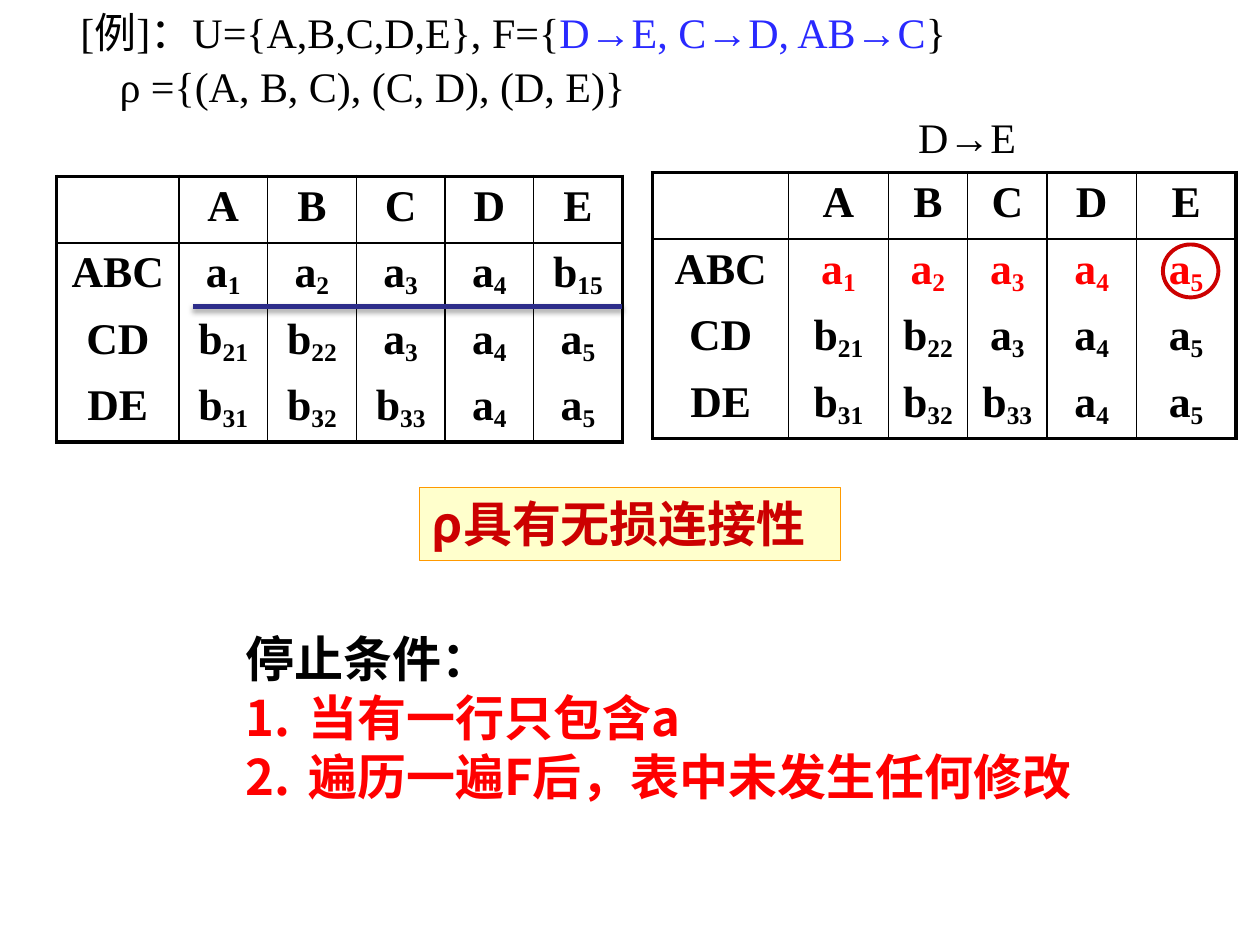
from lxml.etree import SubElement
from pptx import Presentation
from pptx.dml.color import RGBColor
from pptx.enum.shapes import MSO_CONNECTOR, MSO_SHAPE
from pptx.enum.text import MSO_ANCHOR, PP_ALIGN
from pptx.oxml.ns import qn
from pptx.util import Inches, Pt

COLORS = {
    "ink": "000000", "paper": "FFFFFF", "blue": "2929FF", "red": "FF0000",
    "crimson": "CC0000", "cream": "FFFFCC", "orange": "FF9900", "navy": "2D2D8A",
}
SERIF, SANS, SANS_ALT = "Times New Roman", "Noto Sans CJK SC", "Noto Sans CJK JP"
HEADER = "A B C D E"
LOWER_ROWS = ["CD b21 b22 a3 a4 a5", "DE b31 b32 b33 a4 a5"]
OUTER, INNER = 2.25, 1


def grid(*counts):
    """Turn counts of a 100 by 75 grid into lengths."""
    return [Inches(count / 10) for count in counts]


def color(name):
    """Look up a named colour."""
    return RGBColor.from_string(COLORS[name])


def write(para, text, size=24, font=SERIF, ink="ink", bold=False, base=0):
    """Add one formatted span to a paragraph."""
    span = para.add_run()
    span.text = text
    span.font.size = Pt(size)
    span.font.name = font
    span.font.bold = bold
    span.font.color.rgb = color(ink)
    properties = span.font._element
    SubElement(properties, qn("a:ea"), typeface=SANS if font == SERIF else font)
    if base:
        properties.set("baseline", str(base * 1000))


def indent(para, margin, hang):
    """Give a paragraph a hanging indent in inches."""
    properties = para._p.get_or_add_pPr()
    properties.set("marL", str(Inches(margin)))
    properties.set("indent", str(-Inches(hang)))
    return properties


def add_panel(page, place, shape=MSO_SHAPE.RECTANGLE, fill=None, line=None, width=0.75):
    """Add a flat shape whose text starts at the top left."""
    panel = page.shapes.add_shape(shape, *grid(*place))
    panel.shadow.inherit = False
    if fill:
        panel.fill.solid()
        panel.fill.fore_color.rgb = color(fill)
    else:
        panel.fill.background()
    if line:
        panel.line.color.rgb = color(line)
        panel.line.width = Pt(width)
    else:
        panel.line.fill.background()
    frame = panel.text_frame
    frame.word_wrap = True
    frame.vertical_anchor = MSO_ANCHOR.TOP
    frame.paragraphs[0].alignment = PP_ALIGN.LEFT
    return frame


def add_formula(para, spans, spacing, align=PP_ALIGN.LEFT):
    """Fill an indented paragraph with (text, colour) spans."""
    para.alignment = align
    para.line_spacing = spacing
    para.space_before = Pt(5)
    indent(para, 0.81, 0.31)
    for text, ink in spans:
        write(para, text, ink=ink)


def set_borders(cell, **widths):
    """Draw the sides of a cell, leaving out those of zero width."""
    properties = cell._tc.get_or_add_tcPr()
    for side in "LRTB":
        width = widths[side]
        edge = SubElement(properties, qn(f"a:ln{side}"), w=str(Pt(width)))
        if width:
            solid = SubElement(edge, qn("a:solidFill"))
            SubElement(solid, qn("a:srgbClr"), val=COLORS["ink"])
        else:
            SubElement(edge, qn("a:noFill"))


def fill_cell(cell, label, ink):
    """Write a label, with its digits lowered, on a white cell."""
    cell.fill.solid()
    cell.fill.fore_color.rgb = color("paper")
    para = cell.text_frame.paragraphs[0]
    para.alignment = PP_ALIGN.CENTER
    para.space_before = Pt(5)
    letters = label.rstrip("0123456789")
    if letters:
        write(para, letters, size=25, ink=ink, bold=True)
    if label != letters:
        write(para, label[len(letters):], size=25, ink=ink, bold=True, base=-16)


def add_tableau(page, left, top, columns, first_row, ink="ink"):
    """Add a chase table with a header and three rows."""
    rows = [["", *HEADER.split()]] + [row.split() for row in [first_row, *LOWER_ROWS]]
    place = grid(left, top, sum(columns), 21.1)
    table = page.shapes.add_table(len(rows), len(columns), *place).table
    table.first_row = table.horz_banding = False
    for column, width in zip(table.columns, grid(*columns)):
        column.width = width
    last_row, last_column = len(rows) - 1, len(columns) - 1
    for r, labels in enumerate(rows):
        table.rows[r].height = Inches(2.11 / len(rows))
        for c, label in enumerate(labels):
            cell = table.cell(r, c)
            set_borders(
                cell,
                L=INNER if c else OUTER,
                R=OUTER if c == last_column else INNER,
                T={0: OUTER, 1: INNER}.get(r, 0),
                B={0: INNER, last_row: OUTER}.get(r, 0),
            )
            fill_cell(cell, label, ink if r == 1 and c else "ink")


def add_underline(page, left, right, height):
    """Add a thick line with a soft shadow."""
    line = page.shapes.add_connector(
        MSO_CONNECTOR.STRAIGHT, *grid(left, height, right, height))
    line.line.color.rgb = color("navy")
    line.line.width = Pt(3)
    effects = SubElement(line._element.spPr, qn("a:effectLst"))
    shadow = SubElement(effects, qn("a:outerShdw"), blurRad=str(Pt(3.1)),
                        dist=str(Pt(1.8)), dir="5400000", rotWithShape="0")
    tint = SubElement(shadow, qn("a:srgbClr"), val=COLORS["ink"])
    SubElement(tint, qn("a:alpha"), val="35000")


def add_conditions(page, place, heading, items):
    """Add a heading followed by a numbered list."""
    frame = page.shapes.add_textbox(*grid(*place)).text_frame
    frame.word_wrap = True
    write(frame.paragraphs[0], heading, size=28, font=SANS_ALT, bold=True)
    for item in items:
        para = frame.add_paragraph()
        properties = indent(para, 0.5, 0.5)
        SubElement(properties, qn("a:buFont"), typeface="+mj-lt")
        SubElement(properties, qn("a:buAutoNum"), type="arabicPeriod")
        write(para, item, size=28, font=SANS_ALT, ink="red", bold=True)


def main():
    """Build the lossless join example."""
    deck = Presentation()
    deck.slide_width, deck.slide_height = grid(100, 75)
    page = deck.slides.add_slide(deck.slide_layouts[6])

    add_tableau(page, 51.8, 13.7, [10.8, 7.9, 6.3, 6.3, 7.1, 7.9],
                "ABC a1 a2 a3 a4 a5", ink="red")
    problem = add_panel(page, (0.4, 0.5, 94.2, 11.8), fill="paper")
    add_formula(problem.paragraphs[0], [
        ("[例]：U={A,B,C,D,E}, F={", "ink"), ("D→E, C→D, AB→C", "blue"), ("}", "ink"),
    ], 0.9)
    add_formula(problem.add_paragraph(),
                [("\tρ ={(A, B, C), (C, D), (D, E)}", "ink")], 0.9)
    step = add_panel(page, (55.5, 7.6, 37.5, 4.3), fill="paper")
    add_formula(step.paragraphs[0], [("D→E", "ink")], 1.2, PP_ALIGN.CENTER)
    add_panel(page, (92.3, 19.4, 4.4, 4.2), MSO_SHAPE.OVAL, line="crimson", width=2.25)

    add_tableau(page, 4.5, 14, [9.7] + [7.04] * 5, "ABC a1 a2 a3 a4 b15")
    add_underline(page, 15.3, 49.4, 24.3)

    result = add_panel(page, (33.3, 38.7, 33.4, 5.8), fill="cream", line="orange")
    write(result.paragraphs[0], "ρ具有无损连接性", size=28, font=SANS,
          ink="crimson", bold=True)
    add_conditions(page, (18.5, 49.4, 70.1, 15.1), "停止条件：",
                   ["当有一行只包含a", "遍历一遍F后，表中未发生任何修改"])
    deck.save("out.pptx")


if __name__ == "__main__":
    main()
